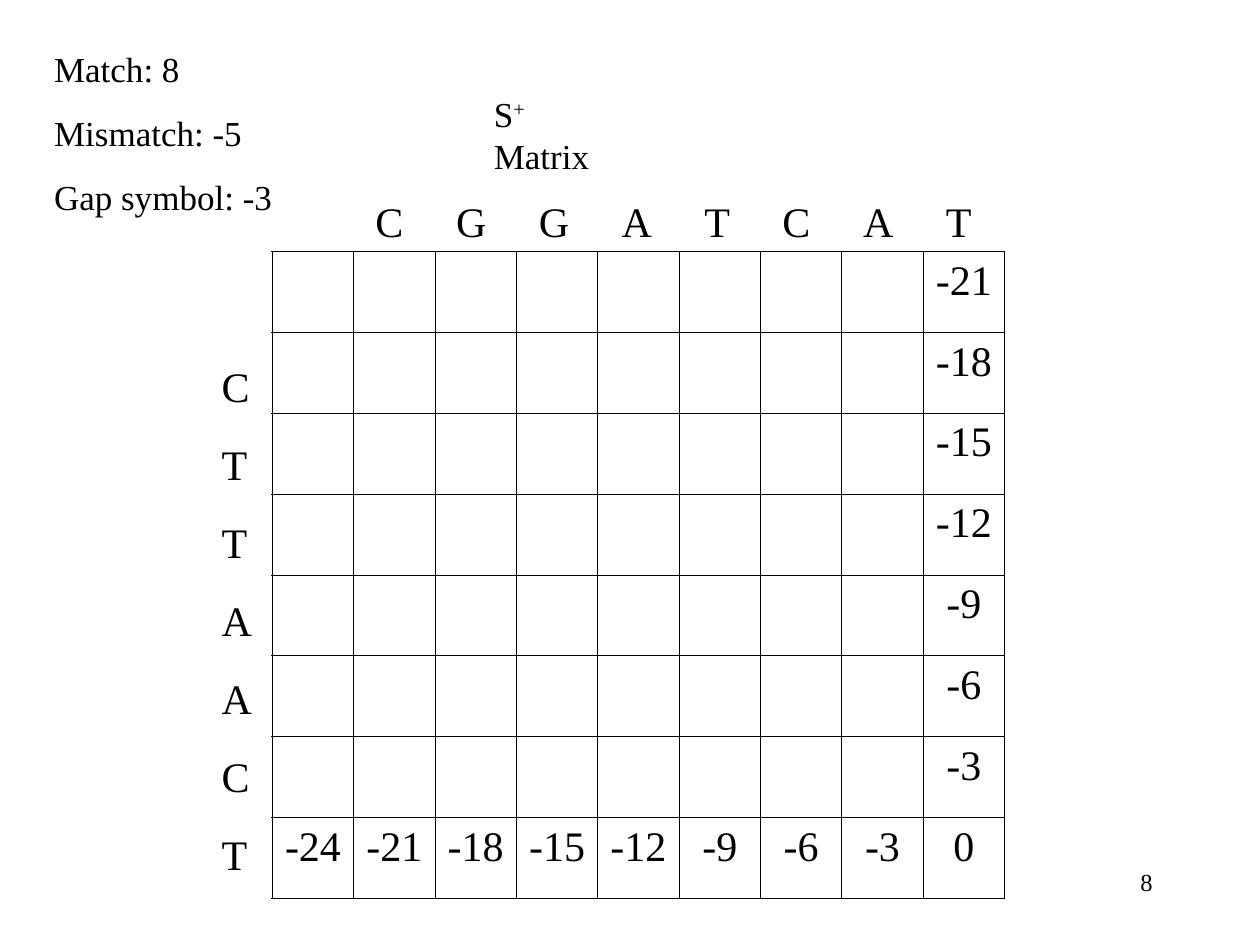
from itertools import accumulate

from lxml.etree import SubElement
from pptx import Presentation
from pptx.dml.color import RGBColor
from pptx.enum.text import MSO_ANCHOR, MSO_AUTO_SIZE, PP_ALIGN
from pptx.oxml.ns import qn
from pptx.util import Cm, Pt

# Content
SCORES = ["Match: 8", "Mismatch: -5", "Gap symbol: -3"]
HEADING = [("S", None), ("+", 30), (" Matrix", None)]  # text, raise in percent
ACROSS = "CGGATCAT"
DOWN = "CTTAACT"
LAST_COLUMN = ["-21", "-18", "-15", "-12", "-9", "-6", "-3"]
LAST_ROW = ["-24", "-21", "-18", "-15", "-12", "-9", "-6", "-3", "0"]
PAGE = "8"

# Look
COLORS = {"ink": "000000"}
FONT = "Times New Roman"
LETTER_SIZE, NOTE_SIZE, PAGE_SIZE = 24, 20, 14
LETTER_WIDTHS = {"A": 0.72, "C": 0.67, "G": 0.72, "T": 0.61}  # in ems
LETTER_GAP = 30
LINE_HEIGHT = 1.2
COLUMN_WIDTH, ROW_HEIGHT = 1.64, 1.63
INNER, OUTER = 0.45, 1.08


def add_run(paragraph, text, size, raised=None):
    run = paragraph.add_run()
    run.text = text
    run.font.name = FONT
    run.font.size = Pt(size)
    run.font.bold = False
    run.font.color.rgb = RGBColor.from_string(COLORS["ink"])
    if raised:
        run.font._element.set("baseline", str(raised * 1000))


def first_paragraph(shape, size, wrap=True):
    frame = shape.text_frame
    frame.word_wrap = wrap
    frame.auto_size = MSO_AUTO_SIZE.NONE
    frame.vertical_anchor = MSO_ANCHOR.TOP
    paragraph = frame.paragraphs[0]
    paragraph.line_spacing = Pt(size * LINE_HEIGHT)
    return paragraph


def add_box(slide, left, top, width, height):
    return slide.shapes.add_textbox(Cm(left), Cm(top), Cm(width), Cm(height))


def set_borders(cell, widths):
    properties = cell._tc.get_or_add_tcPr()
    for side, width in zip("LRTB", widths):
        line = SubElement(properties, qn(f"a:ln{side}"), w=str(Pt(width)))
        fill = SubElement(line, qn("a:solidFill"))
        SubElement(fill, qn("a:srgbClr"), val=COLORS["ink"])


def add_matrix(slide):
    values = [[""] * len(ACROSS) + [value] for value in LAST_COLUMN] + [LAST_ROW]
    rows, columns = len(values), len(LAST_ROW)
    matrix = slide.shapes.add_table(
        rows, columns, Cm(5.49), Cm(5.07),
        Cm(columns * COLUMN_WIDTH), Cm(rows * ROW_HEIGHT)).table
    matrix.first_row = matrix.horz_banding = False
    for column in matrix.columns:
        column.width = Cm(COLUMN_WIDTH)
    for r, row in enumerate(values):
        matrix.rows[r].height = Cm(ROW_HEIGHT)
        for c, value in enumerate(row):
            cell = matrix.cell(r, c)
            on_edge = (c == 0, c == columns - 1, r == 0, r == rows - 1)
            set_borders(cell, [OUTER if edge else INNER for edge in on_edge])
            cell.fill.background()
            if value:
                paragraph = cell.text_frame.paragraphs[0]
                paragraph.alignment = PP_ALIGN.CENTER
                add_run(paragraph, value, LETTER_SIZE)


def add_letters_across(slide):
    paragraph = first_paragraph(add_box(slide, 7.32, 3.81, 15.93, 1.27), LETTER_SIZE)
    # Each tab stop leaves the same gap after the letter before it
    advances = [LETTER_WIDTHS[letter] * LETTER_SIZE + LETTER_GAP
                for letter in ACROSS[:-1]]
    tab_list = SubElement(paragraph._p.get_or_add_pPr(), qn("a:tabLst"))
    for stop in accumulate(advances):
        SubElement(tab_list, qn("a:tab"), pos=str(Pt(stop)), algn="l")
    add_run(paragraph, "\t".join(ACROSS), LETTER_SIZE)


def add_letters_down(slide):
    paragraph = first_paragraph(add_box(slide, 4.22, 6.58, 1.42, 11.28), LETTER_SIZE)
    paragraph.line_spacing = Pt(44.6)
    for index, letter in enumerate(DOWN):
        if index:
            paragraph.add_line_break()
        add_run(paragraph, letter, LETTER_SIZE)


def add_scores(slide):
    box = add_box(slide, 0.84, 0.84, 5.28, 3.68)
    paragraph = first_paragraph(box, NOTE_SIZE)
    for index, score in enumerate(SCORES):
        if index:
            paragraph = box.text_frame.add_paragraph()
            paragraph.line_spacing = Pt(NOTE_SIZE * LINE_HEIGHT)
            paragraph.space_before = Pt(12.5)
        add_run(paragraph, score, NOTE_SIZE)


def add_heading(slide):
    heading = slide.shapes.title
    heading.left, heading.top = Cm(9.7), Cm(1.73)
    heading.width, heading.height = Cm(3.23), Cm(1.12)
    paragraph = first_paragraph(heading, NOTE_SIZE, wrap=False)
    paragraph.alignment = PP_ALIGN.LEFT
    for text, raised in HEADING:
        add_run(paragraph, text, NOTE_SIZE, raised)


def add_page_number(slide):
    paragraph = first_paragraph(add_box(slide, 18.21, 17.35, 5.28, 1.27), PAGE_SIZE)
    paragraph.alignment = PP_ALIGN.RIGHT
    add_run(paragraph, PAGE, PAGE_SIZE)


def main():
    deck = Presentation()
    deck.slide_width, deck.slide_height = Cm(25.4), Cm(19.05)
    slide = deck.slides.add_slide(deck.slide_layouts[5])
    for add_part in (add_page_number, add_matrix, add_letters_across,
                     add_letters_down, add_scores, add_heading):
        add_part(slide)
    deck.save("out.pptx")


if __name__ == "__main__":
    main()
